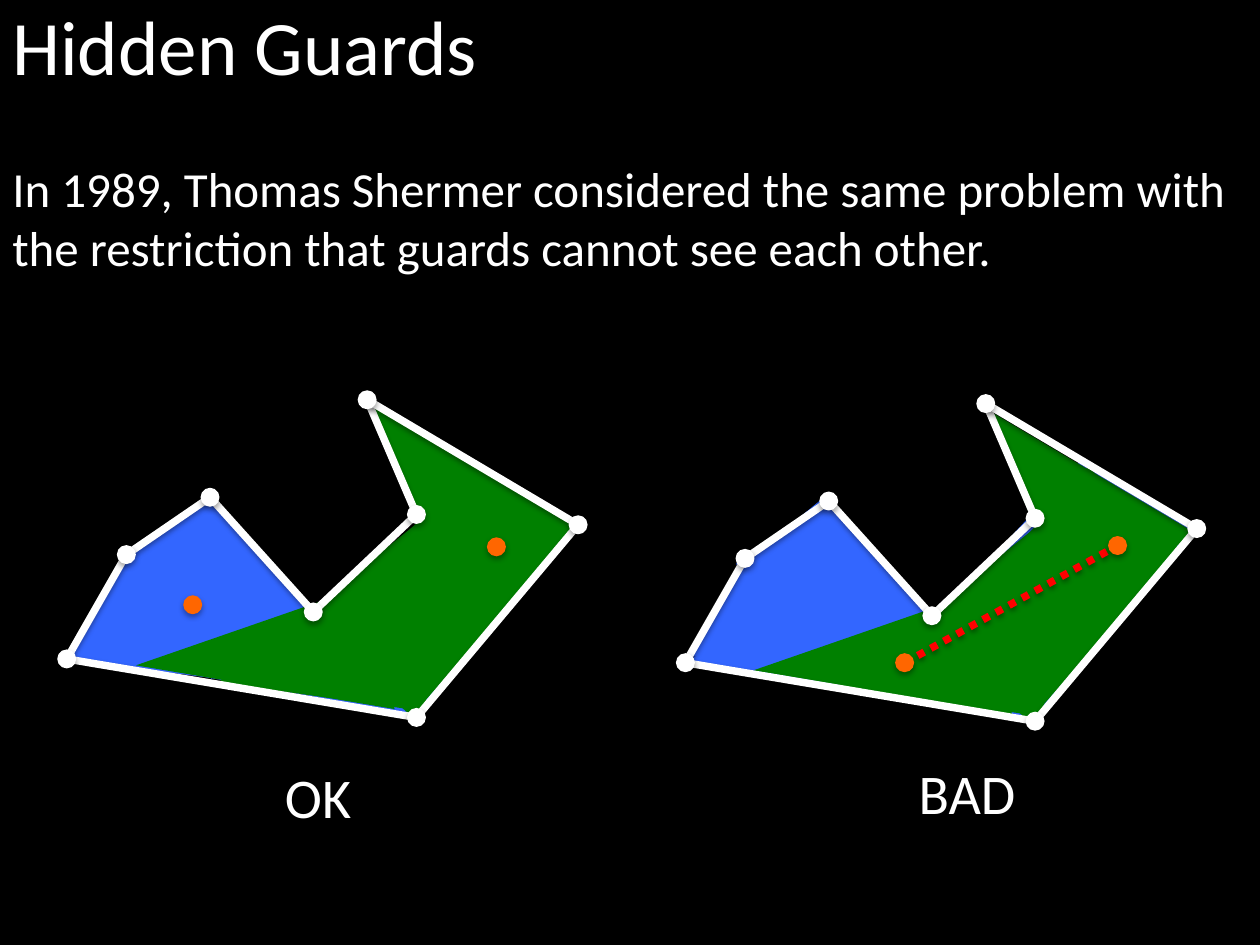
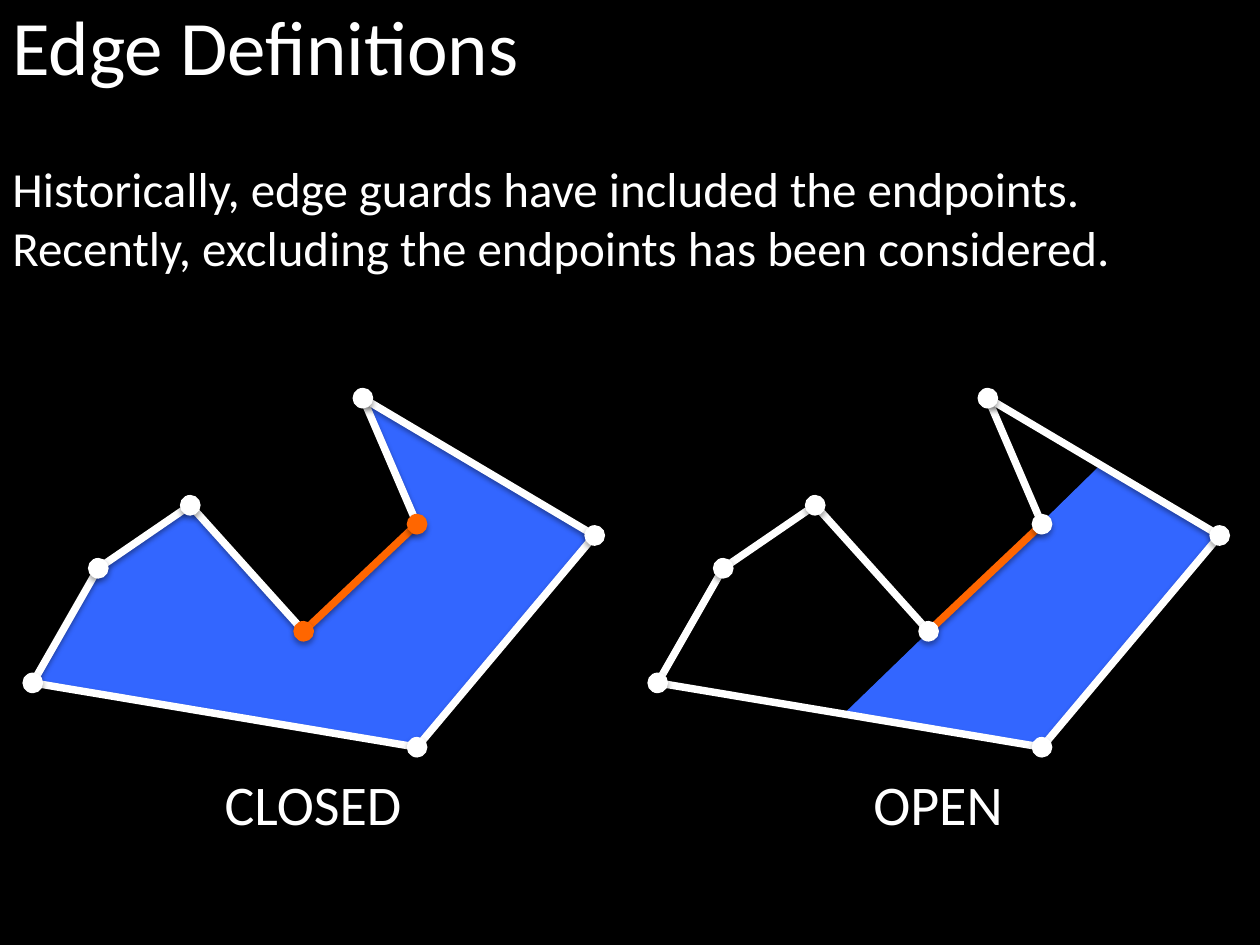
from dataclasses import dataclass
from itertools import cycle, islice

from lxml.etree import SubElement
from pptx import Presentation
from pptx.dml.color import RGBColor
from pptx.enum.dml import MSO_LINE
from pptx.enum.shapes import MSO_CONNECTOR, MSO_SHAPE as Preset
from pptx.enum.text import MSO_AUTO_SIZE, PP_ALIGN
from pptx.oxml.ns import qn
from pptx.util import Inches, Pt


@dataclass(frozen=True)
class Theme:
    """Colours, type sizes and strokes, with lengths in grid cells."""

    ground: str = "000000"
    ink: str = "FFFFFF"
    guard: str = "FF6600"
    sight: str = "FF0000"
    seen: str = "3366FF"
    seen_too: str = "008000"
    font: str = "Calibri"
    title: int = 44
    body: int = 28
    label: int = 32
    wall: float = 4.25
    rim: float = 0.75
    dot: float = 1.54
    hanging: float = 8.1


THEME = Theme()
COLUMNS, ROWS, CELL = 100, 75, Inches(0.1)

CORNERS = [(0, 0), (5.2, -9.1), (12.5, -14.1), (21.5, -4.1),
           (30.5, -12.6), (26.2, -22.6), (44.6, -11.7), (30.5, 5.1)]
GUARD_EDGE = 3
OPEN_VIEW = [(30.4, -12.6), (15, 2.3), (30.4, 4.9), (44.5, -11.7), (35.1, -17.2)]

WEST_OK = [
    (9.1, 46.5, 22.9, 10, 227.5, 0.574),
    (8.1, 45.2, 9.5, 11.9, 119.3, 0.488),
    (12.5, 40.9, 8.2, 11.9, 145.8, 0.962),
    (15.4, 48.6, 23.6, 8.3, 183, 0.261),
]
WEST_BAD = [
    (59.8, 41.7, 8.8, 7.7, 146.7, 0.963),
    (69.1, 43.9, 25, 11.6, 132.4, 0.702),
    (55.6, 46.5, 8.8, 7.7, 121, 0.43),
    (74.3, 40.6, 20.5, 10.8, 311.2, 0.879),
    (61.8, 40.7, 8.8, 12.8, 140.4, 0),
    (55.2, 43.1, 26, 11.6, 9.1, 0.5),
]
EAST = [
    (20, 42.7, 16.6, 7.6, 311.6, 0),
    (25.2, 36.3, 19.7, 10, 210.7, 0.31),
    (25.9, 41.8, 18.2, 9.9, 311.6, None),
    (18.4, 39.1, 16.6, 16.3, 8, 0.925),
    (11.9, 49.4, 19.1, 10, 160.9, 0.044),
]


def cells(*lengths):
    """Turn grid lengths into slide units."""
    return [round(length * CELL) for length in lengths]


def rgb(colour):
    """Turn a hex string into a colour."""
    return RGBColor.from_string(colour)


def set_shadow(shape, drop=None, alpha=35):
    """Replace the theme shadow by a soft one below, or by none."""
    effects = SubElement(shape._element.spPr, qn("a:effectLst"))
    if drop:
        shadow = SubElement(effects, qn("a:outerShdw"), blurRad=str(Pt(3.15)),
                            dist=str(Pt(drop)), dir="5400000", rotWithShape="0")
        shade = SubElement(shadow, qn("a:srgbClr"), val=THEME.ground)
        SubElement(shade, qn("a:alpha"), val=str(alpha * 1000))


def paint(shape, colour, rim=False, drop=None):
    """Fill a shape, with an optional rim and shadow."""
    shape.fill.solid()
    shape.fill.fore_color.rgb = rgb(colour)
    if rim:
        shape.line.color.rgb = rgb(colour)
        shape.line.width = Pt(THEME.rim)
    else:
        shape.line.fill.background()
    set_shadow(shape, drop)


def add_text(shapes, box, lines, size, align=PP_ALIGN.LEFT, hanging=True):
    """Add a text box with one paragraph per line."""
    frame = shapes.add_textbox(*cells(*box)).text_frame
    frame.word_wrap = True
    frame.auto_size = MSO_AUTO_SIZE.SHAPE_TO_FIT_TEXT
    for number, line in enumerate(lines):
        paragraph = frame.add_paragraph() if number else frame.paragraphs[0]
        paragraph.alignment = align
        if hanging:
            [margin] = cells(THEME.hanging)
            properties = paragraph._p.get_or_add_pPr()
            properties.set("marL", str(margin))
            properties.set("indent", str(-margin))
        run = paragraph.add_run()
        run.text = line
        run.font.name = THEME.font
        run.font.size = Pt(size)
        run.font.color.rgb = rgb(THEME.ink)


def add_label(shapes, left, top, width, word):
    """Add a centred caption under a polygon."""
    add_text(shapes, (left, top, width, 6.4), [word], THEME.label, PP_ALIGN.CENTER)


def add_segment(shapes, start, end, colour, dash=None):
    """Add a straight wall or line of sight."""
    segment = shapes.add_connector(MSO_CONNECTOR.STRAIGHT, *cells(*start, *end))
    segment.line.color.rgb = rgb(colour)
    segment.line.width = Pt(THEME.wall)
    if dash:
        segment.line.dash_style = dash
    set_shadow(segment, 1.57, 38)


def add_dot(shapes, centre, colour, size=THEME.dot):
    """Add a round corner or guard around its centre."""
    left, top = (place - size / 2 for place in centre)
    dot = shapes.add_shape(Preset.OVAL, *cells(left, top, size, size))
    paint(dot, colour, rim=True, drop=1.81)


def add_patches(shapes, patches, colour, shift=(0, 0)):
    """Cover a visible region with turned triangles and rectangles."""
    for left, top, width, height, turn, apex in patches:
        preset = Preset.RECTANGLE if apex is None else Preset.ISOSCELES_TRIANGLE
        patch = shapes.add_shape(
            preset, *cells(left + shift[0], top + shift[1], width, height))
        patch.rotation = turn
        if apex is not None:
            patch.adjustments[0] = apex
        paint(patch, colour)


def placed(points, origin, scale=1):
    """Move and scale points measured from the western corner."""
    return [(origin[0] + x * scale, origin[1] + y * scale) for x, y in points]


def add_view(shapes, points, rim):
    """Fill the region that an edge guard sees."""
    start, *others = [cells(*point) for point in points]
    builder = shapes.build_freeform(*start, scale=1.0)
    builder.add_line_segments(others, close=True)
    paint(builder.convert_to_shape(), THEME.seen, rim, drop=1.81)


def add_walls(shapes, origin, scale=1, guard_edge=None, guard_corners=()):
    """Draw the polygon's walls, then its corners."""
    corners = placed(CORNERS, origin, scale)
    following = islice(cycle(corners), 1, None)
    for number, (start, end) in enumerate(zip(corners, following)):
        colour = THEME.guard if number == guard_edge else THEME.ink
        add_segment(shapes, start, end, colour)
    for number, corner in enumerate(corners):
        colour = THEME.guard if number in guard_corners else THEME.ink
        add_dot(shapes, corner, colour, THEME.dot * scale)


def add_page(deck, title, statement):
    """Add a dark slide with its title and statement."""
    page = deck.slides.add_slide(deck.slide_layouts[6])
    page.background.fill.solid()
    page.background.fill.fore_color.rgb = rgb(THEME.ground)
    add_text(page.shapes, (0, -0.6, 93.1, 8.4), [title], THEME.title, hanging=False)
    add_text(page.shapes, (0, 12.1, COLUMNS, 10.4), statement, THEME.body)
    return page.shapes


def add_hidden_guards(deck):
    """Contrast guards that are hidden from each other with guards that are not."""
    shapes = add_page(deck, "Hidden Guards", [
        "In 1989, Thomas Shermer considered the same problem with",
        "the restriction that guards cannot see each other.",
    ])
    cases = [
        ("OK", (17.4, 60), (5.3, 52.3), WEST_OK, (0, 0), [(15.3, 48), (39.4, 43.4)]),
        ("BAD", (68.9, 59.7), (54.4, 52.6), WEST_BAD, (49, 0.4),
         [(71.8, 52.6), (88.7, 43.3)]),
    ]
    for verdict, place, origin, west, shift, guards in cases:
        add_patches(shapes.add_group_shape().shapes, west, THEME.seen)
        add_patches(shapes.add_group_shape().shapes, EAST, THEME.seen_too, shift)
        if verdict == "BAD":
            add_segment(shapes, *guards, THEME.sight, MSO_LINE.ROUND_DOT)
        add_walls(shapes.add_group_shape().shapes, origin, scale=0.91)
        for guard in guards:
            add_dot(shapes, guard, THEME.guard, THEME.dot * 0.91)
        add_label(shapes, *place, 15.7, verdict)


def add_edge_definitions(deck):
    """Contrast edge guards with and without their endpoints."""
    shapes = add_page(deck, "Edge Definitions", [
        "Historically, edge guards have included the endpoints.",
        "Recently, excluding the endpoints has been considered.",
    ])
    cases = [
        ("OPEN", 52.2, OPEN_VIEW, True, ()),
        ("CLOSED", 2.6, CORNERS, False, (GUARD_EDGE, GUARD_EDGE + 1)),
    ]
    for kind, west, view, rim, guard_corners in cases:
        origin = (west, 54.2)
        figure = shapes.add_group_shape().shapes
        add_view(figure, placed(view, origin), rim)
        add_walls(figure, origin, 1, GUARD_EDGE, guard_corners)
        add_label(figure, west - 0.8, 60.6, 46.1, kind)


def main():
    """Build and save the deck."""
    deck = Presentation()
    deck.slide_width, deck.slide_height = cells(COLUMNS, ROWS)
    add_hidden_guards(deck)
    add_edge_definitions(deck)
    deck.save("out.pptx")


main()
